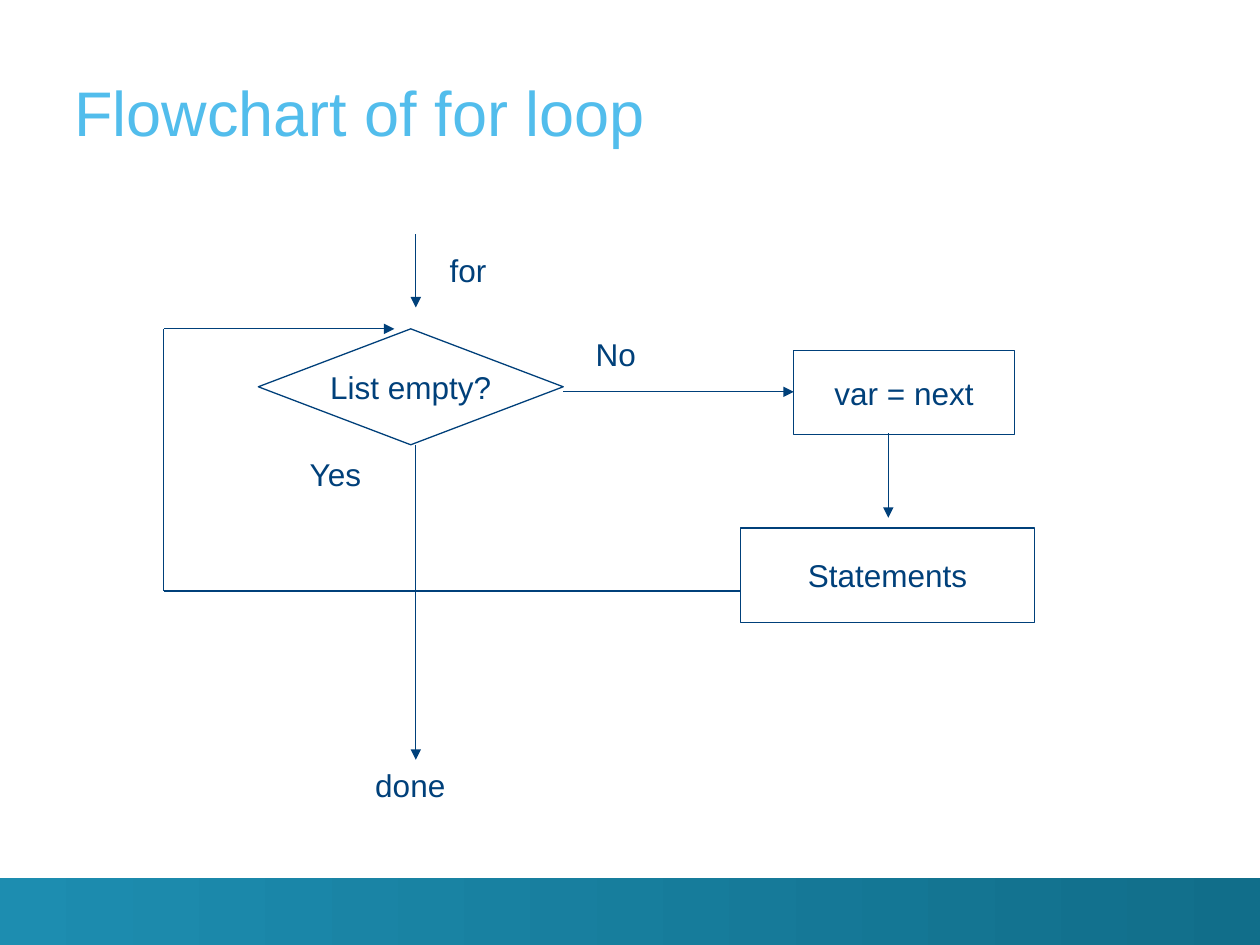
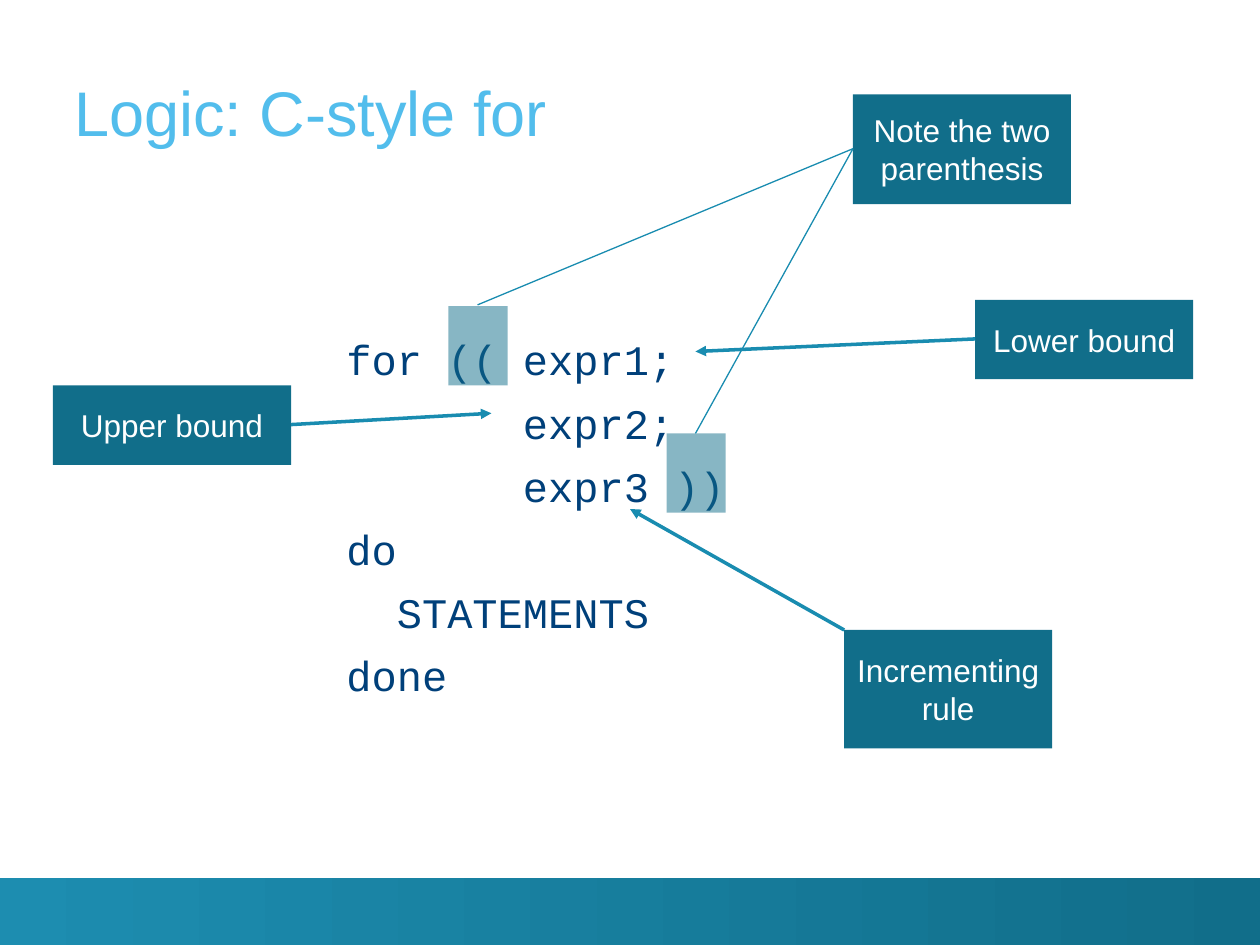
"""Build two slides on for loops: a flowchart and the C-style syntax."""

from dataclasses import dataclass
from typing import Optional

from lxml.etree import SubElement
from pptx import Presentation
from pptx.dml.color import RGBColor
from pptx.enum.shapes import MSO_CONNECTOR, MSO_SHAPE
from pptx.enum.text import MSO_ANCHOR, PP_ALIGN
from pptx.oxml.ns import qn
from pptx.util import Inches, Pt

NAVY, SKY, TEAL, BLUE, WHITE = "00407A", "52BDEC", "116E8A", "198CB0", "FFFFFF"
BAND_START = "1D8DB0"
SANS, MONO = "Arial", "Courier New"
NO_INSETS = dict.fromkeys(
    ("margin_left", "margin_top", "margin_right", "margin_bottom"), 0)


@dataclass
class Box:
    left: float
    top: float
    width: float
    height: float
    text: str = ""
    kind: MSO_SHAPE = MSO_SHAPE.RECTANGLE
    fill: Optional[str] = None
    line: Optional[str] = None
    color: str = NAVY
    wrap: bool = False
    opacity: int = 100


@dataclass
class Label:
    left: float
    top: float
    width: float
    text: str
    height: float = 0.5


@dataclass
class Link:
    start: tuple[float, float]
    end: tuple[float, float]
    arrow: bool = True
    color: str = NAVY
    weight: float = 0.75


def rgb(value: str) -> RGBColor:
    return RGBColor.from_string(value)


def paint(fill, color: Optional[str]) -> None:
    if color is None:
        fill.background()
    else:
        fill.solid()
        fill.fore_color.rgb = rgb(color)


def apply(target, values: dict) -> None:
    for name, value in values.items():
        setattr(target, name, value)


def set_font(p, size: float, color: str, name: str = SANS) -> None:
    for r in p.runs:
        apply(r.font, {"size": Pt(size), "name": name})
        r.font.color.rgb = rgb(color)


def place(box) -> tuple:
    return tuple(Inches(v) for v in (box.left, box.top, box.width, box.height))


def add_box(s, box: Box):
    sp = s.shapes.add_shape(box.kind, *place(box))
    sp.shadow.inherit = False
    paint(sp.fill, box.fill)
    paint(sp.line.fill, box.line)
    if box.line:
        sp.line.width = Pt(0.75)
    if box.opacity < 100:
        color = sp.element.spPr.find(f"{qn('a:solidFill')}/{qn('a:srgbClr')}")
        SubElement(color, qn("a:alpha"), val=str(box.opacity * 1000))
    if box.text:
        tf = sp.text_frame
        apply(tf, {"text": box.text, "word_wrap": box.wrap,
                   "vertical_anchor": MSO_ANCHOR.MIDDLE})
        p = tf.paragraphs[0]
        p.alignment = PP_ALIGN.CENTER
        set_font(p, 18, box.color)
    return sp


def add_label(s, label: Label) -> None:
    tf = s.shapes.add_textbox(*place(label)).text_frame
    apply(tf, {"text": label.text, "word_wrap": False})
    set_font(tf.paragraphs[0], 18, NAVY)


def add_link(s, link: Link) -> None:
    ends = (Inches(v) for v in (*link.start, *link.end))
    cxn = s.shapes.add_connector(MSO_CONNECTOR.STRAIGHT, *ends)
    paint(cxn.line.fill, link.color)
    cxn.line.width = Pt(link.weight)
    spPr = cxn.element.spPr
    if link.arrow:
        SubElement(spPr.find(qn("a:ln")), qn("a:tailEnd"), type="triangle")
    SubElement(spPr, qn("a:effectLst"))


def add_code(s, box: Label) -> None:
    tf = s.shapes.add_textbox(*place(box)).text_frame
    apply(tf, {"text": box.text, "word_wrap": True, **NO_INSETS})
    for i, p in enumerate(tf.paragraphs):
        if i:
            p.space_before = Pt(7.3)
        set_font(p, 24, NAVY, MONO)


def add_slide(prs, title: str):
    s = prs.slides.add_slide(prs.slide_layouts[5])
    band = add_box(s, Box(0, 6.97, 10, 0.53))
    band.fill.gradient()
    band.fill.gradient_angle = 0
    for stop, color, pos in zip(band.fill.gradient_stops, (BAND_START, TEAL), (0, 1)):
        stop.color.rgb = rgb(color)
        stop.position = pos
    sp = s.shapes.title
    apply(sp, dict(zip(("left", "top", "width", "height"),
                       place(Label(0.59, 0.2, 9.11, title, 0.98)))))
    tf = sp.text_frame
    apply(tf, {"text": title, "word_wrap": True,
               "vertical_anchor": MSO_ANCHOR.BOTTOM, **NO_INSETS})
    p = tf.paragraphs[0]
    p.alignment = PP_ALIGN.LEFT
    set_font(p, 36, SKY)
    return s


def build_flowchart(prs) -> None:
    s = add_slide(prs, "Flowchart of for loop")
    main_x, body_x, back_x = 3.3, 7.05, 1.3
    loop_y, return_y, no_y = 2.61, 4.69, 3.11
    for box in (
        Box(5.88, 4.19, 2.33, 0.75, "Statements", line=NAVY),
        Box(2.05, loop_y, 2.42, 0.92, "List empty?",
            MSO_SHAPE.FLOWCHART_DECISION, line=NAVY),
        Box(6.3, 2.78, 1.75, 0.67, "var = next", line=NAVY),
    ):
        add_box(s, box)
    for label in (
        Label(3.47, 1.94, 0.61, "for"),
        Label(2.36, 3.56, 0.72, "Yes"),
        Label(2.88, 6.03, 0.93, "done"),
        Label(4.63, 2.61, 0.6, "No"),
    ):
        add_label(s, label)
    for link in (
        Link((main_x, 1.86), (main_x, 2.44)),
        Link((main_x, 3.53), (main_x, 6.03)),
        Link((4.47, no_y), (6.3, no_y)),
        Link((body_x, 3.44), (body_x, 4.11)),
        Link((5.88, return_y), (back_x, return_y), arrow=False),
        Link((back_x, return_y), (back_x, loop_y), arrow=False),
        Link((back_x, loop_y), (3.13, loop_y)),
    ):
        add_link(s, link)


def build_syntax(prs) -> None:
    s = add_slide(prs, "Logic: C-style for")
    code = "\n".join(("for (( expr1;", "       expr2;", "       expr3 ))",
                      "do", "  STATEMENTS", "done"))
    add_code(s, Label(2.75, 2.65, 4.33, code, 2.97))
    for left, top in ((3.56, 2.43), (5.29, 3.44)):
        add_box(s, Box(left, top, 0.47, 0.63, fill=TEAL, opacity=50))
    for left, top, width, height, text in (
        (6.77, 0.75, 1.73, 0.87, "Note the two parenthesis"),
        (7.74, 2.38, 1.73, 0.63, "Lower bound"),
        (6.7, 5, 1.65, 0.94, "Incrementing rule"),
        (0.42, 3.06, 1.89, 0.63, "Upper bound"),
    ):
        add_box(s, Box(left, top, width, height, text, fill=TEAL,
                       color=WHITE, wrap=True))
    for start in ((3.79, 2.42), (5.52, 3.44)):
        add_link(s, Link(start, (6.77, 1.18), arrow=False, color=BLUE))
    for start, end in (
        ((7.74, 2.69), (5.52, 2.79)),
        ((6.7, 5), (5, 4.04)),
        ((2.31, 3.37), (3.9, 3.28)),
    ):
        add_link(s, Link(start, end, color=BLUE, weight=2))


def main() -> None:
    prs = Presentation()
    prs.slide_width, prs.slide_height = Inches(10), Inches(7.5)
    build_flowchart(prs)
    build_syntax(prs)
    prs.save("out.pptx")


if __name__ == "__main__":
    main()
